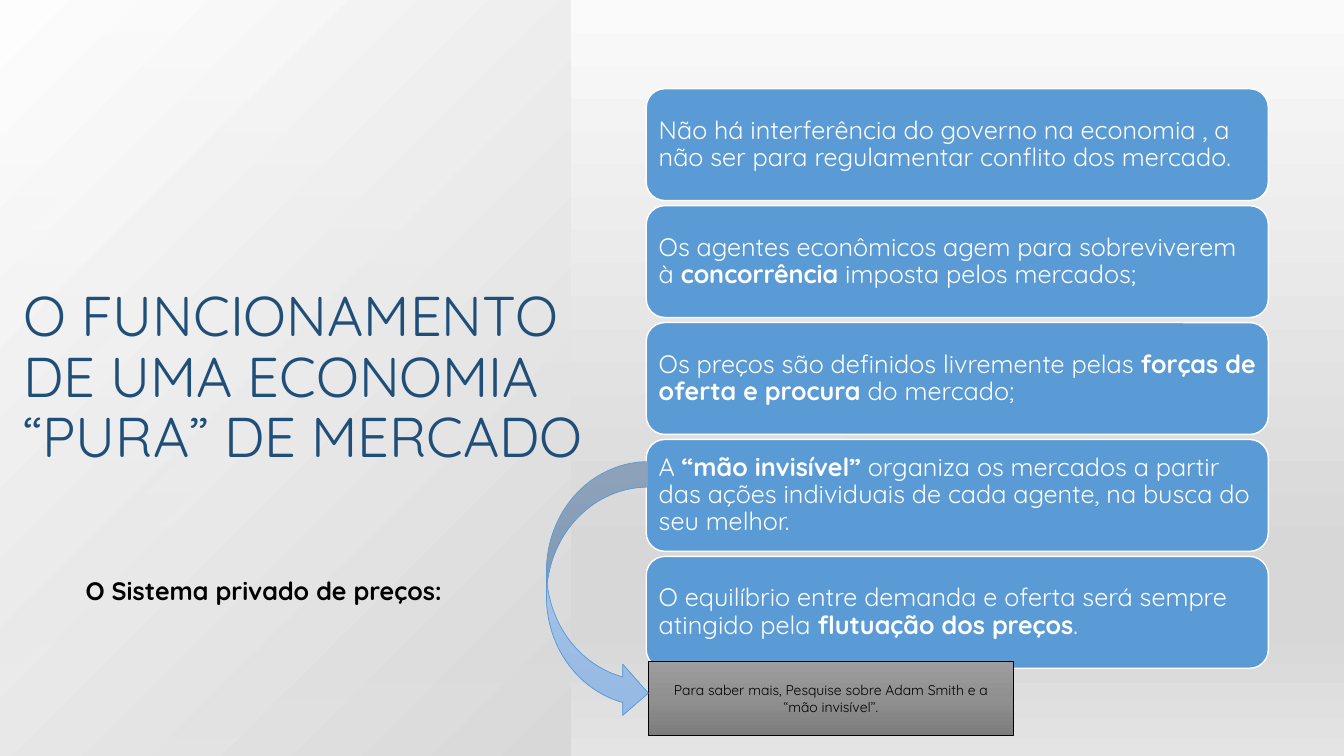
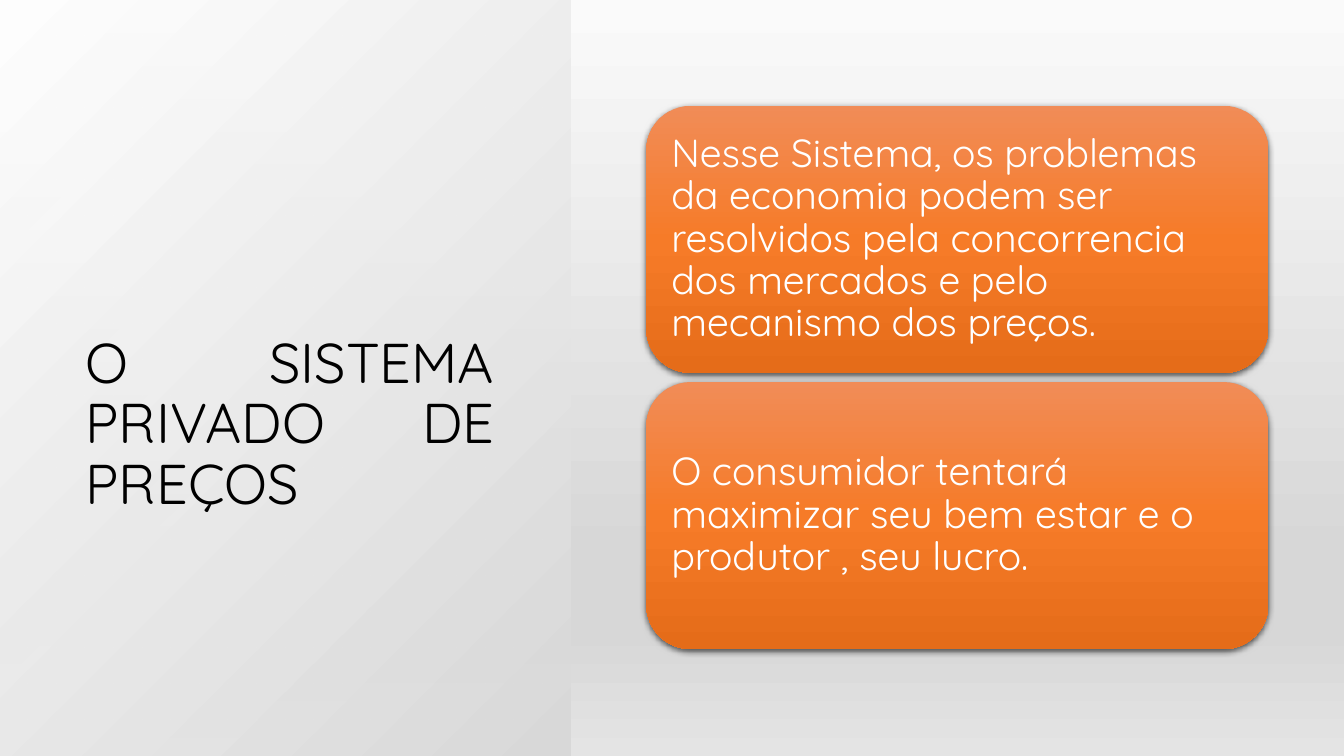
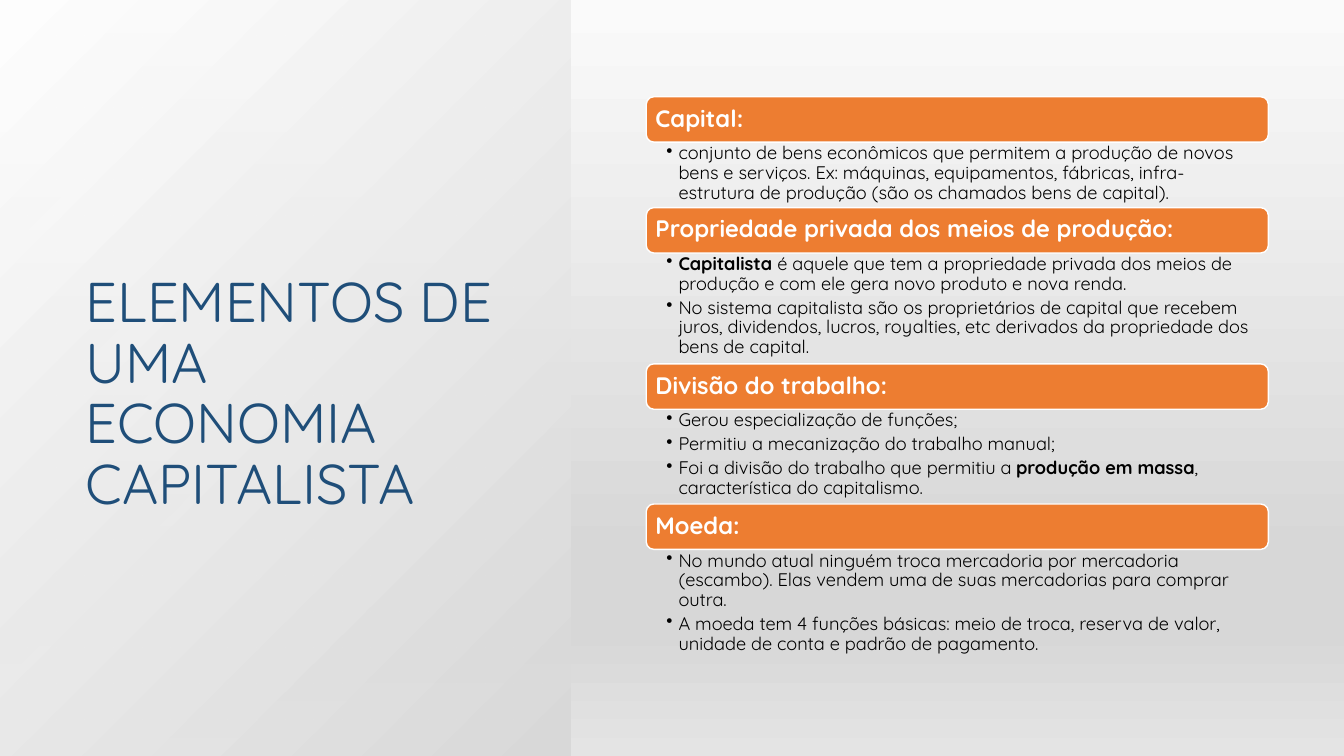
from dataclasses import dataclass

from lxml import etree
from pptx import Presentation
from pptx.dml.color import RGBColor
from pptx.enum.shapes import MSO_SHAPE
from pptx.enum.text import MSO_ANCHOR, PP_ALIGN
from pptx.oxml import parse_xml
from pptx.oxml.ns import nsdecls, qn
from pptx.util import Inches, Pt

RECT = MSO_SHAPE.RECTANGLE
ROUNDED = MSO_SHAPE.ROUNDED_RECTANGLE
CURVED_ARROW = MSO_SHAPE.CURVED_RIGHT_ARROW
TOP, MIDDLE, BOTTOM = MSO_ANCHOR.TOP, MSO_ANCHOR.MIDDLE, MSO_ANCHOR.BOTTOM
LEFT, CENTER, JUSTIFY = PP_ALIGN.LEFT, PP_ALIGN.CENTER, PP_ALIGN.JUSTIFY

LINEAR = '<a:lin ang="5400000" scaled="0"/>'
FROM_CORNER = '<a:path path="circle"><a:fillToRect l="100000" t="100000"/></a:path>'


@dataclass(frozen=True)
class Theme:
    font: str = "Quicksand"
    navy: str = "1F4E79"
    black: str = "000000"
    white: str = "FFFFFF"
    blue: str = "5B9BD5"
    orange: str = "ED7D31"
    backdrop: tuple = ((0, "FAFAFA", 100), (74, "D7D7D7", 100), (83, "D7D7D7", 100), (100, "E4E4E4", 100))
    panel: tuple = ((0, "D9D9D9", 100), (100, "FFFFFF", 89))
    grey_glow: tuple = ((0, "9D9D9D", 100), (50, "909090", 100), (100, "7C7C7C", 100))
    blue_glow: tuple = ((0, "B1CBE9", 100), (50, "A3C1E5", 100), (100, "93B9E4", 100))
    orange_glow: tuple = ((0, "F18C57", 100), (50, "F67B28", 100), (100, "E56C19", 100))
    title_size: float = 40
    statement_size: float = 28
    body_size: float = 18
    heading_size: float = 17
    bullet_size: float = 13
    note_size: float = 10
    tight: float = 0.9
    column_left: float = 6.41
    column_width: float = 6.17


class Deck:
    def __init__(self, theme):
        self.theme = theme
        self.presentation = Presentation()
        self.presentation.slide_width = Inches(13.33)
        self.presentation.slide_height = Inches(7.5)
        self.slide = None

    def new_slide(self, title, box=(0.75, 0.75, 4.25, 4.42), color=None, align=LEFT):
        theme = self.theme
        self.slide = self.presentation.slides.add_slide(self.presentation.slide_layouts[6])
        self.shape(RECT, (0, 0, 13.33, 7.5), theme.backdrop)
        self.shape(RECT, (0, 0, 5.66, 7.5), theme.panel, shading=FROM_CORNER)
        self.text(box, [title], theme.title_size, color or theme.navy, anchor=BOTTOM, align=align)

    def shape(self, kind, box, fill, line=None, line_width=1, shading=LINEAR):
        shape = self.slide.shapes.add_shape(kind, *map(Inches, box))
        shape.shadow.inherit = False
        if isinstance(fill, str):
            shape.fill.solid()
            shape.fill.fore_color.rgb = RGBColor.from_string(fill)
        else:
            self.shade(shape, fill, shading)
        if line:
            shape.line.color.rgb = RGBColor.from_string(line)
            shape.line.width = Pt(line_width)
        else:
            shape.line.fill.background()
        return shape

    def shade(self, shape, stops, shading):
        shape.fill.gradient()
        properties = shape._element.spPr
        marks = "".join(
            f'<a:gs pos="{place * 1000}"><a:srgbClr val="{color}">'
            f'<a:alpha val="{opacity * 1000}"/></a:srgbClr></a:gs>'
            for place, color, opacity in stops
        )
        gradient = parse_xml(
            f'<a:gradFill {nsdecls("a")} rotWithShape="1"><a:gsLst>{marks}</a:gsLst>{shading}</a:gradFill>'
        )
        properties.replace(properties.find(qn("a:gradFill")), gradient)

    def cast_shadow(self, shape):
        effects = shape._element.spPr.find(qn("a:effectLst"))
        effects.append(parse_xml(
            f'<a:outerShdw {nsdecls("a")} blurRad="{Pt(4.5)}" dist="{Pt(1.5)}" dir="5400000" '
            'algn="ctr" rotWithShape="0"><a:srgbClr val="000000"><a:alpha val="63000"/>'
            '</a:srgbClr></a:outerShdw>'
        ))

    def fill_text(self, shape, lines, size, color, anchor=MIDDLE, align=LEFT, bold=False,
                  margins=None, spacing=None, bulleted=False):
        frame = shape.text_frame
        frame.word_wrap = True
        frame.vertical_anchor = anchor
        if margins:
            (frame.margin_left, frame.margin_top,
             frame.margin_right, frame.margin_bottom) = map(Inches, margins)
        for index, line in enumerate(lines):
            paragraph = frame.add_paragraph() if index else frame.paragraphs[0]
            paragraph.alignment = align
            paragraph.line_spacing = spacing or self.theme.tight
            for part, words in enumerate(line.split("*")):
                if words:
                    run = paragraph.add_run()
                    run.text = words
                    run.font.name = self.theme.font
                    run.font.size = Pt(size)
                    run.font.bold = bold or part % 2 == 1
                    run.font.color.rgb = RGBColor.from_string(color)
            if bulleted:
                self.bullet(paragraph)

    def bullet(self, paragraph):
        paragraph.space_after = Pt(3)
        properties = paragraph._p.get_or_add_pPr()
        properties.set("marL", str(Inches(0.12)))
        properties.set("indent", str(-Inches(0.12)))
        etree.SubElement(properties, qn("a:buChar")).set("char", "•")

    def text(self, box, lines, size, color, **style):
        self.fill_text(self.slide.shapes.add_textbox(*map(Inches, box)), lines, size, color, **style)

    def card(self, top, height, words, fill, size, margin=0.07, line=None, bold=False):
        theme = self.theme
        card = self.shape(ROUNDED, (theme.column_left, top, theme.column_width, height), fill, line)
        self.fill_text(card, [words], size, theme.white, bold=bold, margins=(margin,) * 4)
        return card

    def section(self, top, heading, bullets, height):
        theme = self.theme
        heading_height = 0.45
        self.card(top, heading_height, heading, theme.orange, theme.heading_size, line=theme.white, bold=True)
        body_top = top + heading_height
        self.text((theme.column_left, body_top, theme.column_width, height), bullets,
                  theme.bullet_size, theme.black, anchor=TOP,
                  margins=(0.2, 0.02, 0.13, 0.02), bulleted=True)
        return body_top + height


def market_economy(deck):
    theme = deck.theme
    deck.new_slide("O FUNCIONAMENTO DE UMA ECONOMIA “PURA” DE MERCADO", (0.13, 0.29, 5.89, 4.42))
    deck.text((0.75, 5.69, 4.25, 1.06), ["O Sistema privado de preços:"],
              theme.body_size, theme.black, anchor=TOP, bold=True)
    principles = [
        "Não há interferência do governo na economia , a não ser para regulamentar conflito dos mercado.",
        "Os agentes econômicos agem para sobreviverem à *concorrência* imposta pelos mercados;",
        "Os preços são definidos livremente pelas *forças de oferta e procura* do mercado;",
        "A *“mão invisível” *organiza os mercados a partir das ações individuais de cada agente, "
        "na busca do seu melhor.",
        "O equilíbrio entre demanda e oferta será sempre atingido pela *flutuação dos preços*.",
    ]
    for index, principle in enumerate(principles):
        deck.card(0.88 + index * 1.16, 1.11, principle, theme.blue, theme.body_size, line=theme.white)
    note = deck.shape(RECT, (6.43, 6.56, 3.62, 0.74), theme.grey_glow, theme.black, 0.5)
    deck.fill_text(note, ["Para saber mais, Pesquise sobre Adam Smith e a “mão invisível”."],
                   theme.note_size, theme.black, align=CENTER, spacing=1.0)
    deck.shape(CURVED_ARROW, (5.42, 4.58, 1.01, 2.55), theme.blue_glow, theme.blue, 0.5)


def price_system(deck):
    theme = deck.theme
    deck.new_slide("O SISTEMA PRIVADO DE PREÇOS", color=theme.black, align=JUSTIFY)
    statements = [
        "Nesse Sistema, os problemas da economia podem ser resolvidos pela concorrencia dos mercados "
        "e pelo mecanismo dos preços.",
        "O consumidor tentará maximizar seu bem estar e o produtor , seu lucro.",
    ]
    for index, statement in enumerate(statements):
        card = deck.card(1.05 + index * 2.74, 2.65, statement, theme.orange_glow,
                         theme.statement_size, margin=0.12)
        deck.cast_shadow(card)


def capitalist_elements(deck):
    deck.new_slide("ELEMENTOS DE UMA ECONOMIA CAPITALISTA")
    sections = [
        ("Capital:", 0.65, [
            "conjunto de bens econômicos que permitem a produção de novos bens e serviços. "
            "Ex: máquinas, equipamentos, fábricas, infra-estrutura de produção "
            "(são os chamados bens de capital).",
        ]),
        ("Propriedade privada dos meios de produção:", 1.1, [
            "*Capitalista *é aquele que tem a propriedade privada dos meios de produção "
            "e com ele gera novo produto e nova renda.",
            "No sistema capitalista são os proprietários de capital que recebem juros, dividendos, "
            "lucros, royalties, etc derivados da propriedade dos bens de capital.",
        ]),
        ("Divisão do trabalho:", 0.94, [
            "Gerou especialização de funções;",
            "Permitiu a mecanização do trabalho manual;",
            "Foi a divisão do trabalho que permitiu a *produção em massa*, característica do capitalismo.",
        ]),
        ("Moeda:", 1.1, [
            "No mundo atual ninguém troca mercadoria por mercadoria (escambo). "
            "Elas vendem uma de suas mercadorias para comprar outra.",
            "A moeda tem 4 funções básicas: meio de troca, reserva de valor, "
            "unidade de conta e padrão de pagamento.",
        ]),
    ]
    top = 0.96
    for heading, height, bullets in sections:
        top = deck.section(top, heading, bullets, height)


def main():
    deck = Deck(Theme())
    market_economy(deck)
    price_system(deck)
    capitalist_elements(deck)
    deck.presentation.save("out.pptx")


if __name__ == "__main__":
    main()
